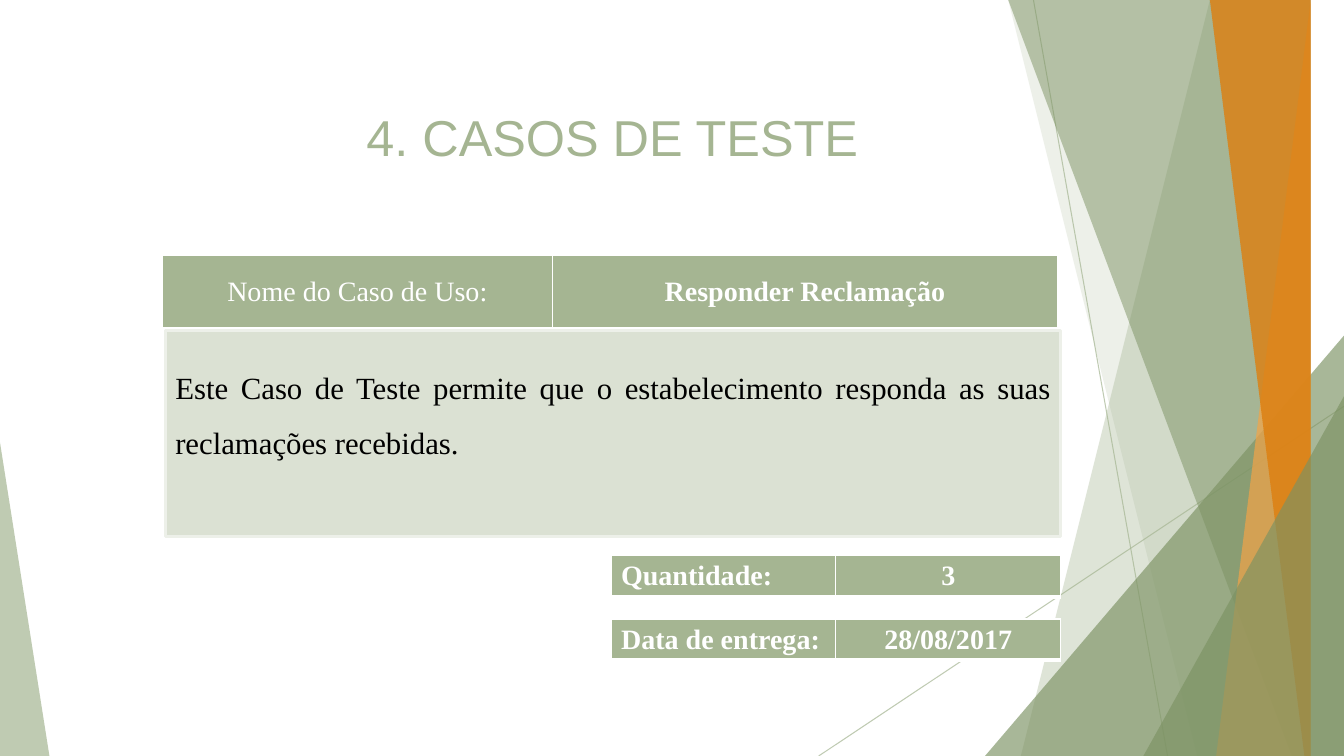
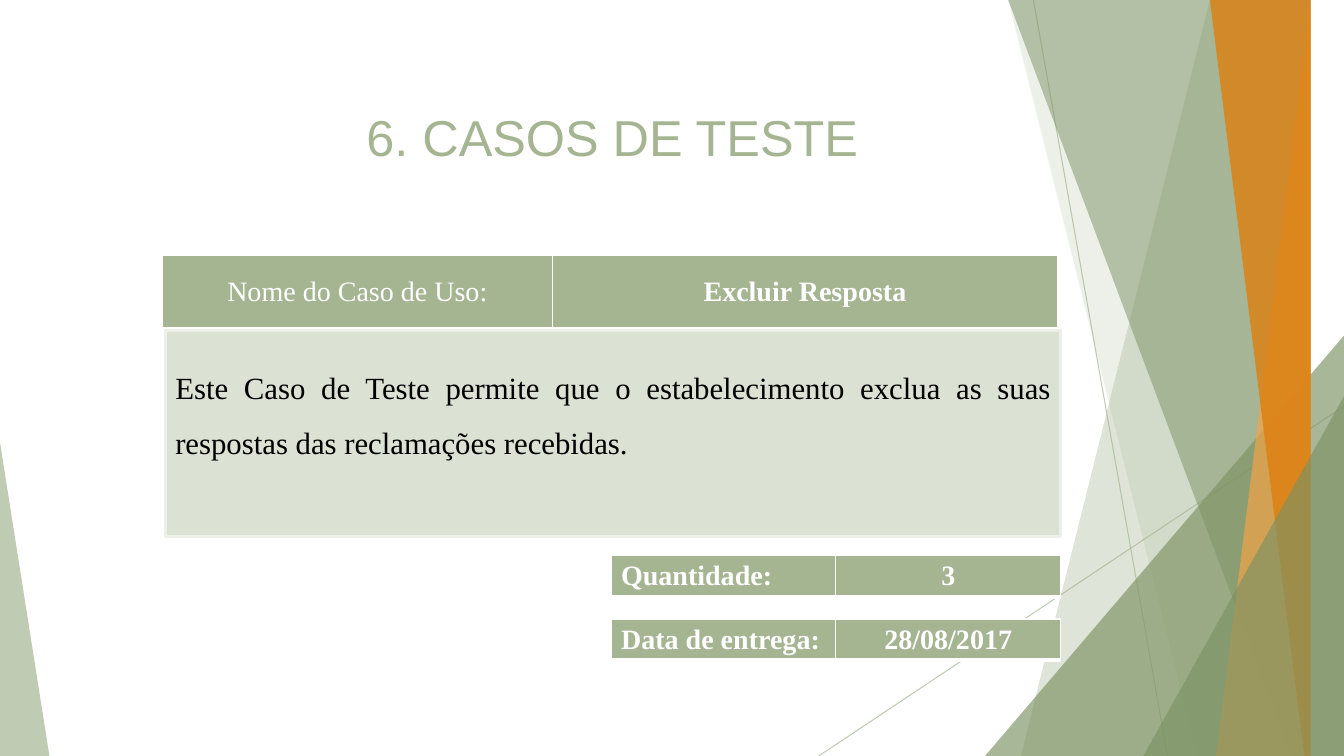
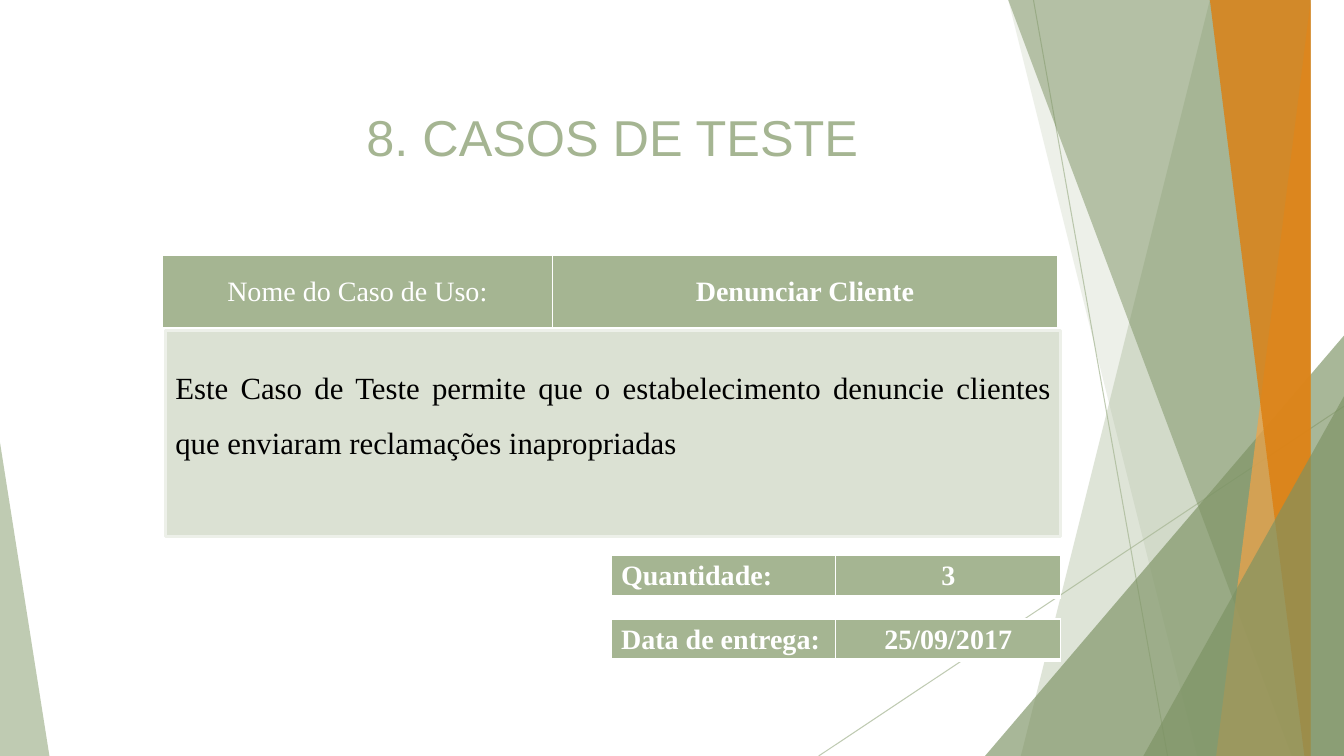
from lxml import etree
from pptx import Presentation
from pptx.dml.color import RGBColor
from pptx.enum.shapes import MSO_CONNECTOR, MSO_SHAPE
from pptx.enum.text import MSO_ANCHOR, MSO_AUTO_SIZE, PP_ALIGN
from pptx.oxml.ns import qn
from pptx.util import Inches, Pt

LEFT, CENTER, JUSTIFY = PP_ALIGN.LEFT, PP_ALIGN.CENTER, PP_ALIGN.JUSTIFY
TOP, MIDDLE = MSO_ANCHOR.TOP, MSO_ANCHOR.MIDDLE
STRAIGHT, TRIANGLE, RECTANGLE = MSO_CONNECTOR.STRAIGHT, MSO_SHAPE.ISOSCELES_TRIANGLE, MSO_SHAPE.RECTANGLE
NO_AUTOFIT = MSO_AUTO_SIZE.NONE

WIDTH, HEIGHT = 13.33, 7.5
COLORS = {
    "sage": "A5B592", "moss": "7C9263", "amber": "F3A447", "orange": "DD7E0E",
    "pale": "DBE1D3", "edge": "EDF0E9", "white": "FFFFFF", "black": "000000",
}
SANS, SERIF = "Arial", "Times New Roman"

CASES = [
    ("4. CASOS DE TESTE", "Responder Reclamação",
     "Este Caso de Teste permite que o estabelecimento responda as suas reclamações recebidas.",
     "3", "28/08/2017"),
    ("6. CASOS DE TESTE", "Excluir Resposta",
     "Este Caso de Teste permite que o estabelecimento exclua as suas respostas das reclamações recebidas.",
     "3", "28/08/2017"),
    ("8. CASOS DE TESTE", "Denunciar Cliente",
     "Este Caso de Teste permite que o estabelecimento denuncie clientes que enviaram reclamações inapropriadas",
     "3", "25/09/2017"),
]

RAYS = [(10.25, 0, 11.58, HEIGHT), (WIDTH, 4.03, 8.12, HEIGHT)]
FACETS = [
    ("strip", (12.28, 10.04), "sage", 36),
    ("strip", (10.5, 11.83), "sage", 20),
    ("peak", (9.77, 3.33, 3.56, 1), "moss", 66),
    ("strip", (10.21, 12.91), "moss", 50),
    ("strip", (13.03, 11.92), "amber", 70),
    ("strip", (11.96, 13.18), "orange", 80),
    ("peak", (11.34, 3.93, 1.99, 1), "moss", 66),
    ("peak", (0, 4.39, 0.49, 0), "sage", 70),
]

TITLE_AREA = (0.76, 1, 10.63, 0.71)
NAME_AREA = (1.61, 2.53, 8.88, 0.73)
NAME_COLUMNS = (3.87, 5.01)
BODY_AREA = (1.64, 3.28, 8.88, 2.04)
BODY_BOTTOM_INSET = 0.6
FACT_LEFT, FACT_TOP, FACT_STEP = 6.06, 5.51, 0.63
FACT_COLUMNS, FACT_HEIGHT = (2.23, 2.23), 0.41
BORDERS = {"lnL": 1, "lnR": 1, "lnT": 1, "lnB": 3}


def rgb(name):
    return RGBColor.from_string(COLORS[name])


def inches(values):
    return [Inches(value) for value in values]


def set_alpha(shape, percent):
    for color in shape.element.iter(qn("a:srgbClr")):
        etree.SubElement(color, qn("a:alpha")).set("val", str(percent * 1000))


def write(frame, text, align, color, **font):
    para = frame.paragraphs[0]
    para.alignment = align
    span = para.add_run()
    span.text = text
    span.font.color.rgb = rgb(color)
    for name, value in font.items():
        setattr(span.font, name, value)
    return para


def add_ray(page, x1, y1, x2, y2):
    ray = page.shapes.add_connector(STRAIGHT, *inches((x1, y1, x2, y2)))
    ray.line.color.rgb = rgb("sage")
    ray.line.width = Pt(0.75)
    set_alpha(ray, 70)
    etree.SubElement(ray.element.spPr, qn("a:effectLst"))
    return ray


def add_facet(page, kind, geometry, color, alpha):
    if kind == "strip":
        top_x, bottom_x = geometry
        builder = page.shapes.build_freeform(top_x, 0, scale=float(Inches(1)))
        builder.add_line_segments([(WIDTH, 0), (WIDTH, HEIGHT), (bottom_x, HEIGHT)], close=True)
        facet = builder.convert_to_shape()
    else:
        left, top, width, apex = geometry
        facet = page.shapes.add_shape(TRIANGLE, *inches((left, top, width, HEIGHT - top)))
        facet.adjustments[0] = apex
    facet.shadow.inherit = False
    facet.fill.solid()
    facet.fill.fore_color.rgb = rgb(color)
    facet.line.fill.background()
    set_alpha(facet, alpha)
    return facet


def move_backdrop_to_layout(page, layout):
    for holder in list(layout.placeholders)[1:]:
        holder.element.getparent().remove(holder.element)
    pieces = [add_ray(page, *ray) for ray in RAYS]
    pieces += [add_facet(page, *facet) for facet in FACETS]
    for piece in pieces:
        layout.shapes.element.append(piece.element)


def add_borders(cell):
    properties = cell._tc.get_or_add_tcPr()
    for side, points in BORDERS.items():
        border = etree.SubElement(properties, qn(f"a:{side}"), w=str(Pt(points)))
        fill = etree.SubElement(border, qn("a:solidFill"))
        etree.SubElement(fill, qn("a:srgbClr"), val=COLORS["white"])


def add_band(page, area, columns, anchor, entries):
    table = page.shapes.add_table(1, len(columns), *inches(area)).table
    table.first_row = table.horz_banding = False
    for index, (width, (text, align, bold)) in enumerate(zip(columns, entries)):
        table.columns[index].width = Inches(width)
        cell = table.cell(0, index)
        add_borders(cell)
        cell.fill.solid()
        cell.fill.fore_color.rgb = rgb("sage")
        cell.vertical_anchor = anchor
        write(cell.text_frame, text, align, "white", name=SERIF, size=Pt(20), bold=bold)


def add_body(page, text):
    box = page.shapes.add_shape(RECTANGLE, *inches(BODY_AREA))
    box.shadow.inherit = False
    box.fill.solid()
    box.fill.fore_color.rgb = rgb("pale")
    box.line.color.rgb = rgb("edge")
    box.line.width = Pt(2)
    frame = box.text_frame
    frame.word_wrap = True
    frame.vertical_anchor = MIDDLE
    frame.margin_bottom = Inches(BODY_BOTTOM_INSET)
    para = write(frame, text, JUSTIFY, "black", name=SERIF, size=Pt(22))
    para.line_spacing = 1.5


def add_title(page, text):
    title = page.shapes.title
    title.left, title.top, title.width, title.height = inches(TITLE_AREA)
    title.text_frame.auto_size = NO_AUTOFIT
    title.text_frame.vertical_anchor = MIDDLE
    write(title.text_frame, text, CENTER, "sage", name=SANS, size=Pt(36))


def main():
    deck = Presentation()
    deck.slide_width, deck.slide_height = inches((WIDTH, HEIGHT))
    layout = deck.slide_layouts[5]
    for number, (heading, case, body, quantity, due) in enumerate(CASES):
        page = deck.slides.add_slide(layout)
        if number == 0:
            move_backdrop_to_layout(page, layout)
        add_title(page, heading)
        add_band(page, NAME_AREA, NAME_COLUMNS, MIDDLE,
                 [("Nome do Caso de Uso:", CENTER, False), (case, CENTER, True)])
        add_body(page, body)
        for row, (label, value) in enumerate([("Quantidade:", quantity), ("Data de entrega:", due)]):
            area = (FACT_LEFT, FACT_TOP + row * FACT_STEP, sum(FACT_COLUMNS), FACT_HEIGHT)
            add_band(page, area, FACT_COLUMNS, TOP, [(label, LEFT, True), (value, CENTER, True)])
    deck.save("out.pptx")


if __name__ == "__main__":
    main()
